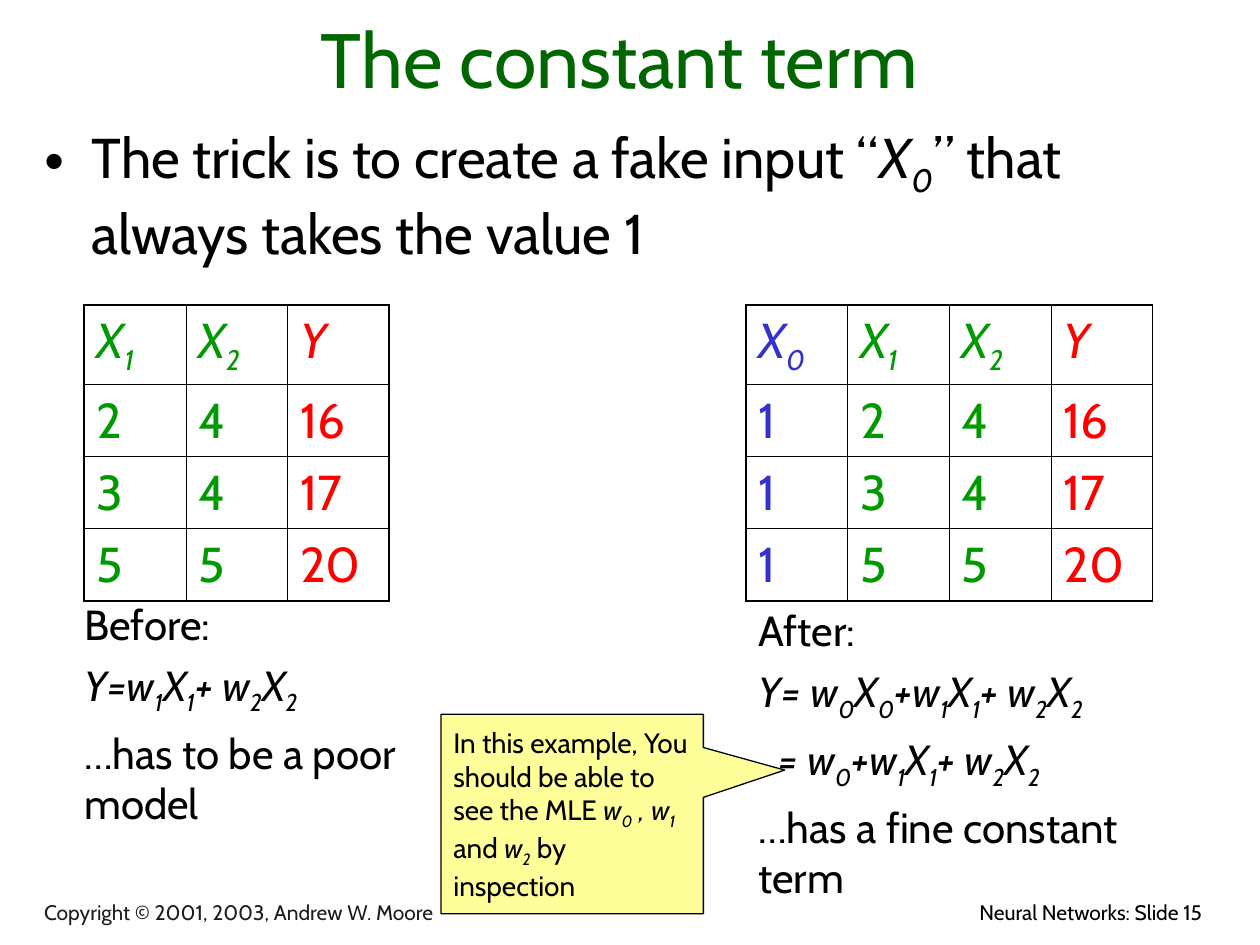
from lxml import etree
from pptx import Presentation
from pptx.dml.color import RGBColor
from pptx.enum.shapes import MSO_SHAPE
from pptx.enum.text import MSO_ANCHOR, MSO_AUTO_SIZE, PP_ALIGN
from pptx.oxml.ns import qn
from pptx.util import Cm, Pt

CALLOUT = MSO_SHAPE.RECTANGULAR_CALLOUT
LEFT, CENTER, RIGHT = PP_ALIGN.LEFT, PP_ALIGN.CENTER, PP_ALIGN.RIGHT
TOP, MIDDLE, BOTTOM = MSO_ANCHOR.TOP, MSO_ANCHOR.MIDDLE, MSO_ANCHOR.BOTTOM

FONT = "Cabin"
BLACK, GREY, DARK_GREEN = "000000", "1C1C1C", "006600"
BLUE, GREEN, RED, YELLOW = "3333CC", "009900", "FF0000", "FFFF99"

# A paragraph is a list of (text, italic); "_" makes the next character a subscript.
TITLE = [[("The constant term", False)]]
TRICK = [[("The trick is to create a fake input “", False), ("X_0", True),
          ("” that always takes the value 1", False)]]
COPYRIGHT = [[("Copyright © 2001, 2003, Andrew W. Moore", False)]]
SLIDE_NUMBER = [[("Neural Networks: Slide 15", False)]]
BEFORE = [
    [("Before:", False)],
    [("Y=w_1X_1+ w_2X_2", True)],
    [("…has to be a poor model", False)],
]
AFTER = [
    [("After:", False)],
    [("Y= w_0X_0+w_1X_1+ w_2X_2", True)],
    [("= w_0+w_1X_1+ w_2X_2", True)],
    [("…has a fine constant term", False)],
]
INSPECTION = [[("In this example, You should be able to see the MLE ", False),
               ("w_0 , w_1 ", True), ("and ", False), ("w_2 ", True),
               ("by inspection", False)]]

# Columns: heading, colour, values
INPUTS_AND_OUTPUT = [
    ("X_1", GREEN, ["2", "3", "5"]),
    ("X_2", GREEN, ["4", "4", "5"]),
    ("Y", RED, ["16", "17", "20"]),
]
FAKE_INPUT = ("X_0", BLUE, ["1", "1", "1"])

TABLE_TOP, COLUMN_WIDTH = 6.15, 2.05
ROW_HEIGHTS = [1.6, 1.44, 1.44, 1.44]
INNER_LINE, OUTER_LINE = 0.45, 1.08


def rgb(colour):
    return RGBColor.from_string(colour)


def add_run(paragraph, text, size, colour, italic, subscript=False):
    run = paragraph.add_run()
    run.text = text
    run.font.name, run.font.size = FONT, Pt(size)
    run.font.italic = italic
    run.font.color.rgb = rgb(colour)
    if subscript:
        run.font._element.set("baseline", "-25000")


def write(frame, paragraphs, size, colour=BLACK, before=0, align=LEFT):
    for i, parts in enumerate(paragraphs):
        paragraph = frame.paragraphs[0] if i == 0 else frame.add_paragraph()
        paragraph.alignment = align
        paragraph.space_before = Pt(before)
        for text, italic in parts:
            plain, *marked = text.split("_")
            if plain:
                add_run(paragraph, plain, size, colour, italic)
            for piece in marked:
                add_run(paragraph, piece[0], size, colour, italic, True)
                if piece[1:]:
                    add_run(paragraph, piece[1:], size, colour, italic)


def set_up(shape, anchor):
    frame = shape.text_frame
    frame.word_wrap = True
    frame.auto_size = MSO_AUTO_SIZE.NONE
    frame.vertical_anchor = anchor
    return frame


def fill_placeholder(shape, box, anchor):
    shape.left, shape.top, shape.width, shape.height = map(Cm, box)
    return set_up(shape, anchor)


def add_text(slide, box, anchor=TOP):
    return set_up(slide.shapes.add_textbox(*map(Cm, box)), anchor)


def set_borders(cell, widths):
    """Draw black cell borders; widths are left, right, top, bottom in points."""
    properties = cell._tc.get_or_add_tcPr()
    for i, (side, width) in enumerate(zip("LRTB", widths)):
        line = etree.Element(qn(f"a:ln{side}"), w=str(Pt(width)))
        fill = etree.SubElement(line, qn("a:solidFill"))
        etree.SubElement(fill, qn("a:srgbClr"), val=BLACK)
        properties.insert(i, line)


def add_data_table(slide, left, columns):
    rows, cols = len(ROW_HEIGHTS), len(columns)
    table = slide.shapes.add_table(
        rows, cols, Cm(left), Cm(TABLE_TOP),
        Cm(COLUMN_WIDTH * cols), Cm(sum(ROW_HEIGHTS))).table
    table.first_row = table.horz_banding = False
    for row, height in zip(table.rows, ROW_HEIGHTS):
        row.height = Cm(height)
    for c, (heading, colour, values) in enumerate(columns):
        table.columns[c].width = Cm(COLUMN_WIDTH)
        for r, text in enumerate([heading, *values]):
            cell = table.cell(r, c)
            cell.fill.background()
            write(cell.text_frame, [[(text, r == 0)]], 28, colour, before=7)
            on_edge = (c == 0, c == cols - 1, r == 0, r == rows - 1)
            set_borders(cell, [OUTER_LINE if edge else INNER_LINE for edge in on_edge])


def main():
    deck = Presentation()
    deck.slide_width, deck.slide_height = Cm(25.4), Cm(19.05)
    slide = deck.slides.add_slide(deck.slide_layouts[1])
    title, trick = slide.placeholders

    write(add_text(slide, (14.53, 18.01, 9.96, 0.84)), SLIDE_NUMBER, 12,
          before=7.5, align=RIGHT)
    write(add_text(slide, (0.64, 18.06, 14.1, 0.71), BOTTOM), COPYRIGHT, 12, GREY)
    write(fill_placeholder(title, (0.64, 0.43, 23.7, 1.8), BOTTOM), TITLE, 44,
          DARK_GREEN, align=CENTER)
    write(fill_placeholder(trick, (0.64, 2.34, 23.83, 3.18), TOP), TRICK, 32, before=8)

    add_data_table(slide, 1.7, INPUTS_AND_OUTPUT)
    add_data_table(slide, 15.04, [FAKE_INPUT, *INPUTS_AND_OUTPUT])

    write(add_text(slide, (1.45, 11.94, 7.87, 4.88)), BEFORE, 24, before=6)
    after = add_text(slide, (15.04, 12.07, 9.53, 6.25))
    write(after, AFTER, 24, before=6)
    simplified = after.paragraphs[2]
    simplified._p.get_or_add_pPr().set("marL", str(Cm(0.4)))

    callout = slide.shapes.add_shape(CALLOUT, Cm(8.89), Cm(14.4), Cm(5.29), Cm(4.02))
    callout.adjustments[0], callout.adjustments[1] = 0.81, -0.22
    callout.shadow.inherit = False
    callout.fill.solid()
    callout.fill.fore_color.rgb = rgb(YELLOW)
    callout.line.color.rgb = rgb(BLACK)
    callout.line.width = Pt(0.75)
    write(set_up(callout, MIDDLE), INSPECTION, 16, before=4)

    deck.save("out.pptx")


if __name__ == "__main__":
    main()
